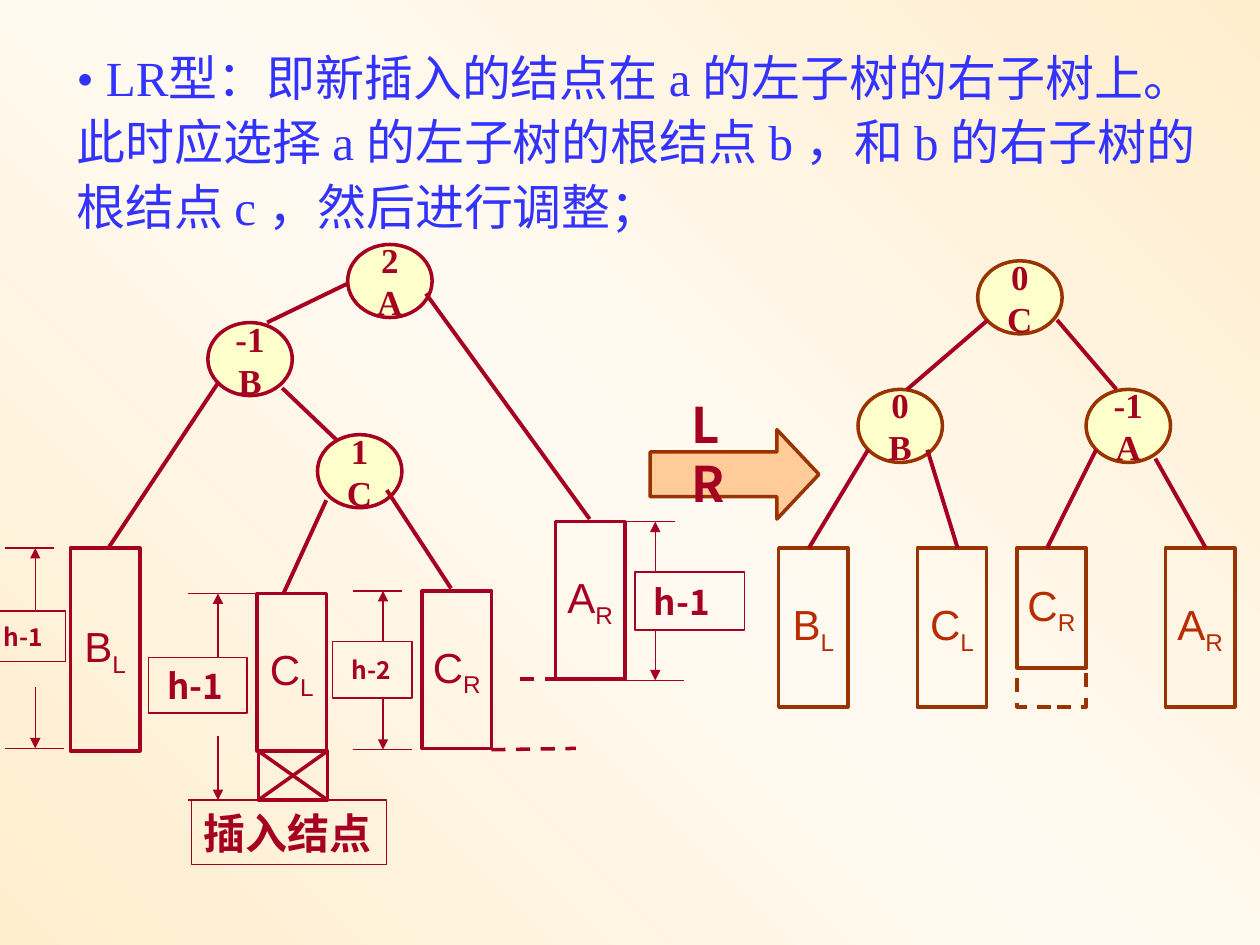
import copy
import pptx
import pptx.dml.color
import pptx.enum.dml
import pptx.enum.shapes
import pptx.enum.text
import pptx.oxml
import pptx.oxml.ns
import pptx.util

Inches = pptx.util.Inches
Pt = pptx.util.Pt
SHAPE = pptx.enum.shapes.MSO_SHAPE
ALIGN = pptx.enum.text.PP_ALIGN
ANCHOR = pptx.enum.text.MSO_ANCHOR
DASH = pptx.enum.dml.MSO_LINE.DASH
qn = pptx.oxml.ns.qn

RED, BROWN, RUST, BLUE = "A50021", "993300", "B82C00", "3333FF"
SERIF, SANS, CHINESE = "Times New Roman", "Arial", "Noto Sans CJK SC"


def colour(value):
    return pptx.dml.color.RGBColor.from_string(value)


def add_child(parent, tag, **attributes):
    child = parent.makeelement(qn(tag), attributes)
    parent.append(child)
    return child


class TreeSlide:
    node_size = (0.67, 0.58)
    box_width = 0.55
    axis_offset = 0.24

    def __init__(self, deck):
        self.page = deck.slides.add_slide(deck.slide_layouts[6])

    def background(self, edge, middle):
        fill = self.page.background.fill
        fill.gradient()
        fill.gradient_angle = 45
        first = next(self.page.element.iter(qn("a:gs")))
        first.addnext(copy.deepcopy(first))
        for stop, position, value in zip(fill.gradient_stops, (0, 0.5, 1), (edge, middle, edge)):
            stop.position = position
            stop.color.rgb = colour(value)

    def shape(self, kind, left, top, width, height, line, fill=None, weight=2, dashed=False):
        shape = self.page.shapes.add_shape(
            kind, Inches(left), Inches(top), Inches(width), Inches(height))
        shape.shadow.inherit = False
        if fill:
            shape.fill.solid()
            shape.fill.fore_color.rgb = colour(fill)
        else:
            shape.fill.background()
        shape.line.color.rgb = colour(line)
        shape.line.width = Pt(weight)
        if dashed:
            shape.line.dash_style = DASH
        return shape

    def style(self, span, size, font, value, bold=False):
        span.font.size = Pt(size)
        span.font.bold = bold
        span.font.color.rgb = colour(value)
        span.font.name = font
        add_child(span.font._element, "a:ea", typeface=CHINESE)

    def label(self, shape, text, size, font, value, bold=False,
              align=ALIGN.LEFT, anchor=ANCHOR.MIDDLE, wrap=True):
        frame = shape.text_frame
        frame.text = text
        frame.word_wrap = wrap
        frame.vertical_anchor = anchor
        for para in frame.paragraphs:
            para.alignment = align
            for span in para.runs:
                self.style(span, size, font, value, bold)
        return frame

    def text(self, content, left, top, width, height, font, value, bold=False, spacing=1.0):
        box = self.page.shapes.add_textbox(
            Inches(left), Inches(top), Inches(width), Inches(height))
        frame = self.label(box, content, 28, font, value, bold, anchor=ANCHOR.TOP)
        frame.paragraphs[0].line_spacing = spacing

    def node(self, balance, name, left, top, line):
        shape = self.shape(SHAPE.OVAL, left, top, *self.node_size, line, "FFFFCC")
        self.label(shape, f"{balance}\n{name}", 20, SERIF, RED, True, ALIGN.CENTER, wrap=False)

    def subtree(self, name, side, left, top, height, line, value):
        shape = self.shape(SHAPE.RECTANGLE, left, top, self.box_width, height, line)
        frame = self.label(shape, name, 24, SANS, value, align=ALIGN.CENTER, wrap=False)
        span = frame.paragraphs[0].add_run()
        span.text = side
        self.style(span, 24, SANS, value)
        span.font._element.set("baseline", "-25000")

    def line(self, x1, y1, x2, y2, weight=2.25, dashed=False, arrow=False):
        line = self.page.shapes.add_connector(
            pptx.enum.shapes.MSO_CONNECTOR.STRAIGHT,
            Inches(x1), Inches(y1), Inches(x2), Inches(y2))
        line.line.color.rgb = colour(RED)
        line.line.width = Pt(weight)
        if dashed:
            line.line.dash_style = DASH
        if arrow:
            add_child(line.line._get_or_add_ln(), "a:tailEnd", type="triangle")
        add_child(line._element.spPr, "a:effectLst")

    def measure(self, left, top, bottom, caps, frame_box, lower_start, text, size):
        axis = left + self.axis_offset
        for y, cap in zip((top, bottom), caps):
            self.line(left, y, left + cap, y, 0.75)
        self.line(axis, frame_box[1], axis, top, 0.75, arrow=True)
        self.line(axis, lower_start, axis, bottom, 0.75, arrow=True)
        shape = self.shape(SHAPE.RECTANGLE, *frame_box, RED, weight=0.75)
        frame = self.label(shape, text, size, CHINESE, RED, True)
        frame.margin_left = Inches(0.15)


def main():
    deck = pptx.Presentation()
    deck.slide_width, deck.slide_height = Inches(10), Inches(7.5)
    slide = TreeSlide(deck)
    slide.background("FFEDCD", "FFFAF1")

    slide.text("• LR型：即新插入的结点在 a 的左子树的右子树上。此时应选择 a 的左子树的根结点 b ，"
               "和 b 的右子树的根结点 c ，然后进行调整；",
               0.51, 0.28, 9.21, 1.64, SERIF, BLUE, spacing=1.1)

    arrow = slide.shape(SHAPE.RIGHT_ARROW, 5.16, 3.41, 1.34, 0.71, BROWN, "FFCC99")
    arrow.adjustments[1] = 0.47
    slide.text("LR", 5.39, 3.08, 0.59, 0.57, CHINESE, RED, bold=True)

    nodes = [
        ("2", "A", 2.76, 1.94, RED), ("-1", "B", 1.65, 2.56, RED), ("1", "C", 2.52, 3.45, RED),
        ("0", "C", 7.76, 2.07, BROWN), ("0", "B", 6.81, 3.09, BROWN), ("-1", "A", 8.62, 3.09, BROWN),
    ]
    for node in nodes:
        slide.node(*node)

    before = [("B", "L", 0.56, 4.35, 1.61), ("C", "L", 2.04, 4.71, 1.25),
              ("C", "R", 3.35, 4.69, 1.25), ("A", "R", 4.41, 4.14, 1.25)]
    after = [("B", "L", 6.18, 4.35, 1.26), ("C", "L", 7.28, 4.35, 1.26),
             ("C", "R", 8.07, 4.35, 0.95), ("A", "R", 9.25, 4.35, 1.26)]
    for subtree in before:
        slide.subtree(*subtree, RED, RED)
    for subtree in after:
        slide.subtree(*subtree, BROWN, RUST)
    slide.shape(SHAPE.RECTANGLE, 8.07, 5.3, slide.box_width, 0.31, BROWN, dashed=True)

    branches = [
        (2.76, 2.25, 2.12, 2.56), (3.38, 2.33, 4.68, 4.12), (1.73, 3.04, 0.86, 4.35),
        (2.24, 3.08, 2.68, 3.5), (2.25, 4.71, 2.59, 3.97), (3.58, 4.67, 3.07, 3.89),
        (7.84, 2.54, 7.2, 3.09), (8.39, 2.54, 8.86, 3.09), (6.89, 3.57, 6.42, 4.35),
        (7.36, 3.57, 7.6, 4.35), (8.7, 3.57, 8.31, 4.35), (9.17, 3.64, 9.57, 4.35),
    ]
    for branch in branches:
        slide.line(*branch)

    slide.measure(0.04, 4.35, 5.94, (0.39, 0.47), (-0.12, 4.85, 0.64, 0.4), 5.45, "h-1", 14)
    slide.measure(1.49, 4.71, 6.35, (0.56, 0.63), (1.18, 5.22, 0.78, 0.44), 5.84, "h-1", 20)
    slide.measure(2.8, 4.69, 5.95, (0.39, 0.47), (2.64, 5.09, 0.63, 0.45), 5.55, "h-2", 14)
    slide.measure(4.96, 4.14, 5.4, (0.4, 0.47), (5.04, 4.54, 0.87, 0.46), 5, "h-1", 20)

    slide.line(3.9, 5.95, 4.57, 5.94, 2, dashed=True)
    slide.line(4.13, 5.39, 4.68, 5.39, 2, dashed=True)

    slide.shape(SHAPE.RECTANGLE, 2.05, 5.96, slide.box_width, 0.39, RED)
    slide.line(2.6, 5.96, 2.05, 6.35, 2)
    slide.line(2.05, 5.96, 2.6, 6.35, 2)
    caption = slide.shape(SHAPE.RECTANGLE, 1.52, 6.35, 1.55, 0.51, RED, weight=0.75)
    slide.label(caption, "插入结点", 24, CHINESE, RED, True, wrap=False)

    deck.save("out.pptx")


if __name__ == "__main__":
    main()
